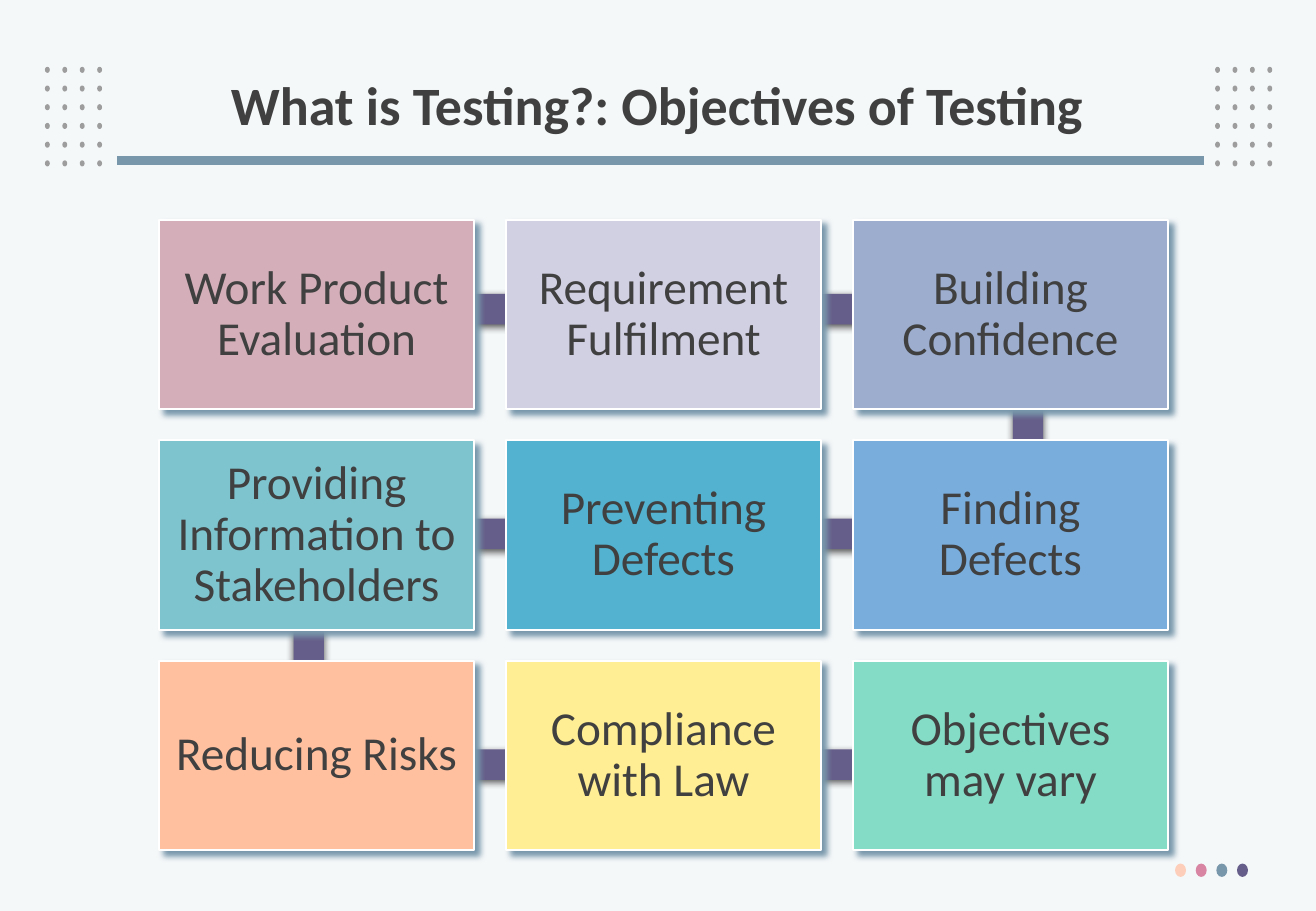
from dataclasses import dataclass
from itertools import product

from lxml import etree
from pptx import Presentation
from pptx.dml.color import RGBColor
from pptx.enum.shapes import MSO_CONNECTOR, MSO_SHAPE
from pptx.enum.text import MSO_ANCHOR, MSO_AUTO_SIZE, PP_ALIGN
from pptx.oxml.ns import qn
from pptx.shapes.autoshape import Shape
from pptx.slide import Slide
from pptx.text.text import TextFrame
from pptx.util import Inches, Pt

RECTANGLE, OVAL = MSO_SHAPE.RECTANGLE, MSO_SHAPE.OVAL
STRAIGHT = MSO_CONNECTOR.STRAIGHT
MIDDLE, CENTER = MSO_ANCHOR.MIDDLE, PP_ALIGN.CENTER
NO_AUTOFIT = MSO_AUTO_SIZE.NONE
TITLE_ONLY = 5


@dataclass(frozen=True)
class Shadow:
    color: str
    opacity: int
    blur: float
    distance: float
    angle: int


@dataclass(frozen=True)
class Theme:
    font: str = "Calibri"
    title_size: int = 32
    card_size: int = 28
    background: str = "F5F8F9"
    text: str = "404040"
    grid_dot: str = "9D9D9D"
    rule: str = "7897AB"
    link: str = "655D8A"
    card_edge: str = "FFFFFF"
    footer_dots: tuple[str, ...] = ("FDCEB9", "D885A3", "7897AB", "655D8A")
    link_shadow: Shadow = Shadow("000000", 63, 4.5, 1.5, 90)
    card_shadow: Shadow = Shadow("7897AB", 100, 4, 4, 45)


@dataclass(frozen=True)
class Box:
    left: float
    top: float
    width: float
    height: float


@dataclass(frozen=True)
class Objective:
    text: str
    fill: str


@dataclass(frozen=True)
class Link:
    left: float
    top: float
    rotation: int = 0


THEME = Theme()

OBJECTIVES = (
    Objective("Work Product Evaluation", "D4AFB9"),
    Objective("Requirement Fulfilment", "D1CFE2"),
    Objective("Building Confidence", "9CADCE"),
    Objective("Providing Information to Stakeholders", "7EC4CF"),
    Objective("Preventing Defects", "52B2CF"),
    Objective("Finding Defects", "79ADDC"),
    Objective("Reducing Risks", "FFC09F"),
    Objective("Compliance with Law", "FFEE93"),
    Objective("Objectives may vary", "84DCC6"),
)

LINKS = (
    Link(3.33, 2.42),
    Link(6.25, 2.42),
    Link(7.75, 3.56, 90),
    Link(6.25, 4.27),
    Link(3.33, 4.27),
    Link(1.83, 5.42, 90),
    Link(6.22, 6.17),
    Link(3.3, 6.17),
)


def rgb(color: str) -> RGBColor:
    return RGBColor.from_string(color)


def add_filled(slide: Slide, kind: MSO_SHAPE, box: Box, fill: str) -> Shape:
    shape = slide.shapes.add_shape(
        kind, Inches(box.left), Inches(box.top), Inches(box.width), Inches(box.height)
    )
    shape.shadow.inherit = False
    shape.fill.solid()
    shape.fill.fore_color.rgb = rgb(fill)
    shape.line.fill.background()
    return shape


def cast_shadow(shape: Shape, shadow: Shadow) -> None:
    effects = shape._element.spPr.find(qn("a:effectLst"))
    outer = etree.SubElement(
        effects,
        qn("a:outerShdw"),
        blurRad=str(Pt(shadow.blur)),
        dist=str(Pt(shadow.distance)),
        dir=str(shadow.angle * 60000),
        algn="ctr",
        rotWithShape="0",
    )
    color = etree.SubElement(outer, qn("a:srgbClr"), val=shadow.color)
    etree.SubElement(color, qn("a:alpha"), val=str(shadow.opacity * 1000))


def set_text(frame: TextFrame, text: str, size: int, bold: bool = False) -> None:
    frame.text = text
    frame.word_wrap = True
    frame.auto_size = NO_AUTOFIT
    frame.vertical_anchor = MIDDLE
    paragraph = frame.paragraphs[0]
    paragraph.alignment = CENTER
    paragraph.line_spacing = 0.9
    paragraph.font.name = THEME.font
    paragraph.font.size = Pt(size)
    paragraph.font.bold = bold
    paragraph.font.color.rgb = rgb(THEME.text)


def add_title(slide: Slide) -> None:
    title = slide.shapes.title
    title.left, title.top = Inches(0.74), Inches(0.4)
    title.width, title.height = Inches(9.34), Inches(0.98)
    set_text(
        title.text_frame, "What is Testing?: Objectives of Testing", THEME.title_size, True
    )


def add_decoration(slide: Slide) -> None:
    # Dot grids on both sides of the title
    for left, row, column in product((0.37, 10), range(6), range(4)):
        dot = Box(left + column * 0.43 / 3, 0.55 + row * 0.77 / 5, 0.04, 0.05)
        add_filled(slide, OVAL, dot, THEME.grid_dot)

    # Rule under the title
    rule = slide.shapes.add_connector(
        STRAIGHT, Inches(9.91), Inches(1.32), Inches(0.96), Inches(1.32)
    )
    rule.line.color.rgb = rgb(THEME.rule)
    rule.line.width = Pt(5.25)
    etree.SubElement(rule._element.spPr, qn("a:effectLst"))

    # Coloured dots in the corner
    for index, color in enumerate(THEME.footer_dots):
        add_filled(slide, OVAL, Box(9.67 + index * 0.17, 7.11, 0.09, 0.11), color)


def add_link(slide: Slide, link: Link) -> None:
    bar = add_filled(slide, RECTANGLE, Box(link.left, link.top, 1.42, 0.25), THEME.link)
    bar.rotation = link.rotation
    cast_shadow(bar, THEME.link_shadow)


def add_card(slide: Slide, index: int, objective: Objective) -> None:
    row, column = divmod(index, 3)
    box = Box(1.31 + column * 5.71 / 2, 1.81 + row * 3.63 / 2, 2.59, 1.56)
    card = add_filled(slide, RECTANGLE, box, objective.fill)
    card.line.color.rgb = rgb(THEME.card_edge)
    card.line.width = Pt(1)
    cast_shadow(card, THEME.card_shadow)
    frame = card.text_frame
    frame.margin_left = frame.margin_right = Inches(0.12)
    frame.margin_top = frame.margin_bottom = Inches(0.12)
    set_text(frame, objective.text, THEME.card_size)


def main() -> None:
    deck = Presentation()
    deck.slide_width, deck.slide_height = Inches(10.83), Inches(7.5)
    slide = deck.slides.add_slide(deck.slide_layouts[TITLE_ONLY])
    slide.background.fill.solid()
    slide.background.fill.fore_color.rgb = rgb(THEME.background)

    add_title(slide)
    add_decoration(slide)

    # Links lie behind the cards
    for link in LINKS:
        add_link(slide, link)
    for index, objective in enumerate(OBJECTIVES):
        add_card(slide, index, objective)

    deck.save("out.pptx")


if __name__ == "__main__":
    main()
